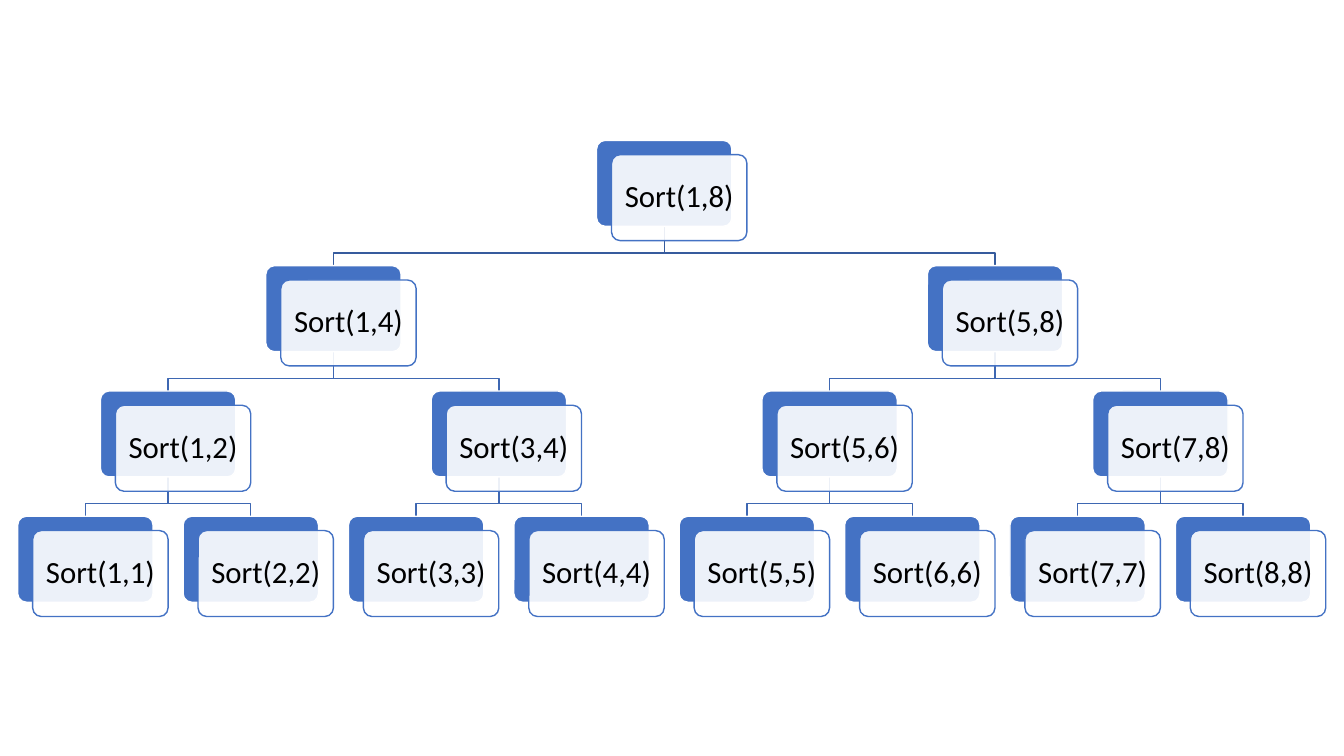
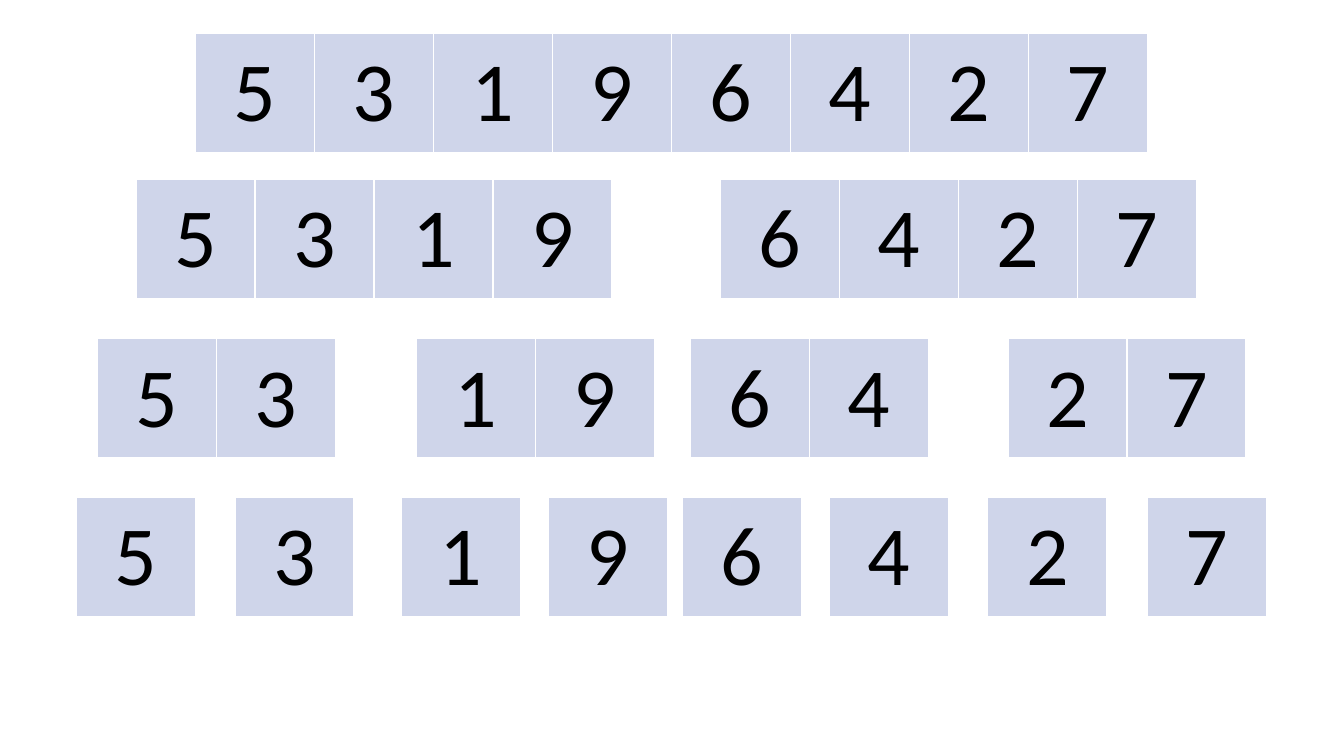
from lxml import etree
from pptx import Presentation
from pptx.dml.color import RGBColor
from pptx.enum import shapes, text
from pptx.oxml import ns
from pptx.util import Pt

# Shared look
FONT = "Calibri"
BLACK = RGBColor(0x00, 0x00, 0x00)
WHITE = RGBColor(0xFF, 0xFF, 0xFF)
BLUE = RGBColor(0x44, 0x72, 0xC4)
TOP_BRANCH = RGBColor(0x36, 0x5B, 0x9D)
LOWER_BRANCH = RGBColor(0x3E, 0x67, 0xB2)
CELL_FILL = RGBColor(0xCF, 0xD5, 0xEA)

# Content
VALUES = [5, 3, 1, 9, 6, 4, 2, 7]
LEVELS = 4
ARRAY_ROWS = [  # top of the row, left edge of each part of the array
    (24, [139.7]),
    (128, [97.2, 514.8]),
    (242, [69.8, 297.4, 493.2, 720]),
    (355.3, [54.7, 167.8, 286.6, 391.7, 487.4, 592.6, 705.6, 819.4]),
]

# Geometry in points
CELL = 85
FIRST_LEAF, LEAF_PITCH = 61, 118.13
TREE_TOP, LEVEL_PITCH = 100.3, 89.5
BOX_WIDTH, BOX_HEIGHT = 96.7, 61.4
FRONT_SHIFT = (10.7, 10.2)
BRANCH_DROP = 19.1


def write_centred(frame, label, size):
    frame.vertical_anchor = text.MSO_ANCHOR.MIDDLE
    paragraph = frame.paragraphs[0]
    paragraph.text = label
    paragraph.alignment = text.PP_ALIGN.CENTER
    for name, value in {"size": Pt(size), "name": FONT}.items():
        setattr(paragraph.font, name, value)
    paragraph.font.color.rgb = BLACK
    return paragraph


def set_line(shape, color):
    shape.shadow.inherit = False
    shape.line.color.rgb = color
    shape.line.width = Pt(1)


# Call tree
def node_center(level, index):
    span = len(VALUES) // 2 ** level
    return FIRST_LEAF + LEAF_PITCH * (index * span + (span - 1) / 2)


def level_top(level):
    return TREE_TOP + LEVEL_PITCH * level


def add_branch(slide, level, index):
    parent_x, child_x = node_center(level - 1, index // 2), node_center(level, index)
    start_y = level_top(level - 1) + BOX_HEIGHT
    turn_y = start_y + BRANCH_DROP
    corners = [(parent_x, start_y), (parent_x, turn_y),
               (child_x, turn_y), (child_x, level_top(level))]
    start, *rest = [(Pt(x), Pt(y)) for x, y in corners]
    builder = slide.shapes.build_freeform(*start)
    builder.add_line_segments(rest, close=False)
    branch = builder.convert_to_shape()
    branch.fill.background()
    set_line(branch, TOP_BRANCH if level == 1 else LOWER_BRANCH)


def add_box(slide, left, top, fill, line):
    box = slide.shapes.add_shape(shapes.MSO_SHAPE.ROUNDED_RECTANGLE,
                                 Pt(left), Pt(top), Pt(BOX_WIDTH), Pt(BOX_HEIGHT))
    box.adjustments[0] = 0.1
    box.fill.solid()
    box.fill.fore_color.rgb = fill
    set_line(box, line)
    return box


def add_node(slide, level, index):
    left, top = node_center(level, index) - BOX_WIDTH / 2, level_top(level)
    add_box(slide, left, top, BLUE, WHITE)
    front = add_box(slide, left + FRONT_SHIFT[0], top + FRONT_SHIFT[1], WHITE, BLUE)
    color = front.fill._xPr.find(".//" + ns.qn("a:srgbClr"))
    etree.SubElement(color, ns.qn("a:alpha"), val="90000")

    span = len(VALUES) // 2 ** level
    frame = front.text_frame
    frame.word_wrap = True
    for side in ("left", "right", "top", "bottom"):
        setattr(frame, f"margin_{side}", Pt(6.6))
    label = f"Sort({index * span + 1},{(index + 1) * span})"
    write_centred(frame, label, 22).line_spacing = 0.9


def build_tree_slide(slide):
    nodes = [(level, index) for level in range(LEVELS) for index in range(2 ** level)]
    for level, index in nodes[1:]:
        add_branch(slide, level, index)
    for level, index in nodes:
        add_node(slide, level, index)


# Array parts
def set_borders(cell):
    properties = cell._tc.get_or_add_tcPr()
    for position, side in enumerate(("lnL", "lnR", "lnT", "lnB")):
        border = etree.Element(ns.qn(f"a:{side}"), w=str(Pt(1)))
        fill = etree.SubElement(border, ns.qn("a:solidFill"))
        etree.SubElement(fill, ns.qn("a:srgbClr"), val=str(WHITE))
        properties.insert(position, border)


def add_array(slide, left, top, values):
    table = slide.shapes.add_table(1, len(values), Pt(left), Pt(top),
                                   Pt(CELL * len(values)), Pt(CELL)).table
    table.first_row = table.horz_banding = False
    for column, cell, value in zip(table.columns, table.rows[0].cells, values):
        column.width = Pt(CELL)
        cell.fill.solid()
        cell.fill.fore_color.rgb = CELL_FILL
        set_borders(cell)
        cell.vertical_anchor = text.MSO_ANCHOR.MIDDLE
        write_centred(cell.text_frame, str(value), 60)


def build_array_slide(slide):
    for top, lefts in ARRAY_ROWS:
        size = len(VALUES) // len(lefts)
        for part, left in enumerate(lefts):
            add_array(slide, left, top, VALUES[part * size:(part + 1) * size])


def main():
    presentation = Presentation()
    presentation.slide_width, presentation.slide_height = Pt(960), Pt(540)
    for build in (build_tree_slide, build_array_slide):
        build(presentation.slides.add_slide(presentation.slide_layouts[6]))
    presentation.save("out.pptx")


if __name__ == "__main__":
    main()
